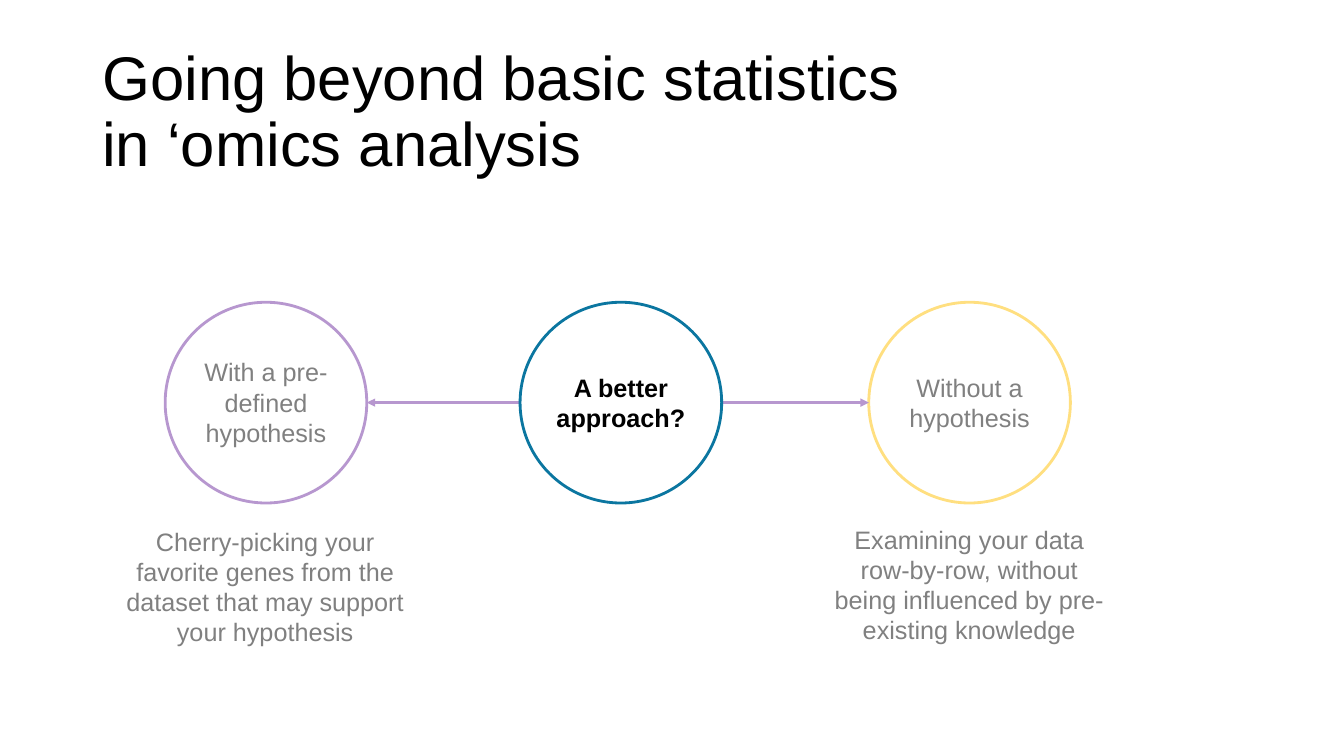
from lxml import etree
from pptx import Presentation
from pptx.dml.color import RGBColor
from pptx.enum.shapes import MSO_CONNECTOR, MSO_SHAPE
from pptx.enum.text import MSO_ANCHOR, PP_ALIGN
from pptx.oxml.ns import qn
from pptx.util import Pt

# Content
TITLE = ["Going beyond basic statistics", "in ‘omics analysis"]
# centre x, outline, label, label width and height
WITH = (190, "purple", "With a pre-defined hypothesis", 103.7, 72.7)
WITHOUT = (692.6, "gold", "Without a hypothesis", 103.7, 50.9)
BETTER = (443.5, "blue", "A better approach?", 108.7, 50.9)
# centre x, top, width, text
CAPTIONS = [
    (189.4, 372.2, 220.3, "Cherry-picking your favorite genes from the dataset "
     "that may support your hypothesis"),
    (692.3, 370.8, 208.1, "Examining your data row-by-row, without being "
     "influenced by pre-existing knowledge"),
]
CAPTION_HEIGHT = 94.5

COLORS = {"black": "000000", "white": "FFFFFF", "purple": "7030A0",
          "gold": "FFC000", "blue": "0B76A0"}
FONT = "Arial"
CIRCLE_WIDTH, CIRCLE_HEIGHT, CIRCLE_MIDDLE = 144, 143.4, 287.6

deck = Presentation()
deck.slide_width, deck.slide_height = Pt(960), Pt(540)
slide = deck.slides.add_slide(deck.slide_layouts[6])


def rgb(name):
    return RGBColor.from_string(COLORS[name])


def add_text(left, top, width, height, lines, size=18, bold=False,
             align=PP_ALIGN.CENTER, anchor=MSO_ANCHOR.TOP, spacing=None):
    box = slide.shapes.add_textbox(Pt(left), Pt(top), Pt(width), Pt(height))
    frame = box.text_frame
    frame.word_wrap = True
    frame.vertical_anchor = anchor
    paragraph = frame.paragraphs[0]
    paragraph.alignment = align
    paragraph.line_spacing = spacing
    for number, line in enumerate(lines):
        if number:
            paragraph.add_line_break()
        run = paragraph.add_run()
        run.text = line
        run.font.name, run.font.size, run.font.bold = FONT, Pt(size), bold
        run.font.color.rgb = rgb("black")


def add_plain(kind, left, top, width, height, fill=None, outline=None):
    shape = slide.shapes.add_shape(kind, Pt(left), Pt(top), Pt(width), Pt(height))
    shape.shadow.inherit = False
    if fill:
        shape.fill.solid()
        shape.fill.fore_color.rgb = rgb(fill)
    else:
        shape.fill.background()
    if outline:
        shape.line.color.rgb = rgb(outline)
        shape.line.width = Pt(2)
    else:
        shape.line.fill.background()
    return shape


def add_circle(center, outline, label, width, height, fill=None, bold=False):
    add_plain(MSO_SHAPE.OVAL, center - CIRCLE_WIDTH / 2,
              CIRCLE_MIDDLE - CIRCLE_HEIGHT / 2, CIRCLE_WIDTH, CIRCLE_HEIGHT,
              fill, outline)
    add_text(center - width / 2, CIRCLE_MIDDLE - height / 2, width, height,
             [label], bold=bold)


# Title
add_text(66, 28.8, 828, 104.4, TITLE, size=44, align=PP_ALIGN.LEFT,
         anchor=MSO_ANCHOR.MIDDLE, spacing=0.9)

# The two usual approaches
add_circle(*WITH)
add_circle(*WITHOUT)

# Double arrow between them
arrow = slide.shapes.add_connector(
    MSO_CONNECTOR.STRAIGHT,
    Pt(WITH[0] + CIRCLE_WIDTH / 2), Pt(CIRCLE_MIDDLE),
    Pt(WITHOUT[0] - CIRCLE_WIDTH / 2), Pt(CIRCLE_MIDDLE))
arrow.line.color.rgb = rgb("purple")
arrow.line.width = Pt(2)
for end in ("a:headEnd", "a:tailEnd"):
    etree.SubElement(arrow.line._get_or_add_ln(), qn(end), type="triangle")
etree.SubElement(arrow._element.spPr, qn("a:effectLst"))

# Captions
for center, top, width, caption in CAPTIONS:
    add_text(center - width / 2, top, width, CAPTION_HEIGHT, [caption])

# Half-transparent veil that fades everything so far below the title
veil = add_plain(MSO_SHAPE.RECTANGLE, 66, 170.6, 754.6, 316.8, fill="white")
veil_color = veil._element.spPr.find(qn("a:solidFill")).find(qn("a:srgbClr"))
etree.SubElement(veil_color, qn("a:alpha"), val="50000")

# Highlighted approach
add_circle(*BETTER, fill="white", bold=True)

deck.save("out.pptx")
